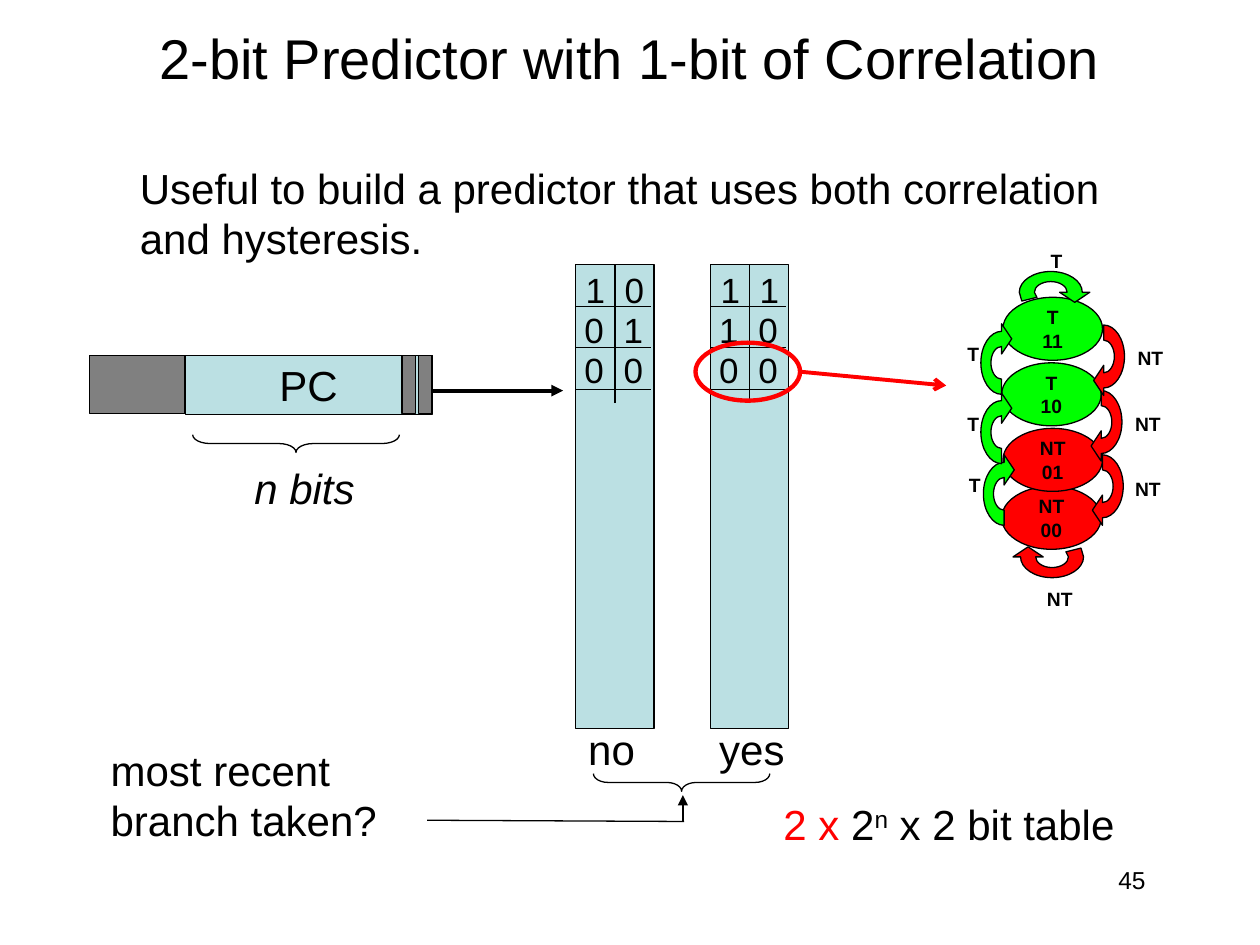
from dataclasses import dataclass
from math import cos, radians, sin

from lxml.etree import SubElement
from pptx import Presentation
from pptx.dml.color import RGBColor as Rgb
from pptx.enum.shapes import MSO_CONNECTOR as Link, MSO_SHAPE as Kind
from pptx.enum.text import MSO_ANCHOR as Anchor, PP_ALIGN as Align
from pptx.oxml.ns import qn
from pptx.util import Pt

SCALE = 9144


@dataclass(frozen=True)
class Theme:
    font: str = "Arial"
    black: str = "000000"
    red: str = "FF0000"
    green: str = "00FF00"
    blue: str = "BBE0E3"
    gray: str = "808080"
    title: int = 32
    body: int = 24
    bit: int = 20
    page: int = 14
    state: int = 11
    thin: float = 0.75
    thick: float = 2.25
    ring: float = 2.5


LOOK = Theme()


def px(*nums):
    return [round(num * SCALE) for num in nums]


def add(para, text, size=LOOK.body, color=LOOK.black, bold=False, italic=False, base=None):
    run = para.add_run()
    run.text = text
    font = run.font
    font.name, font.size = LOOK.font, Pt(size)
    font.bold, font.italic = bold, italic
    font.color.rgb = Rgb.from_string(color)
    if base:
        run._r.get_or_add_rPr().set("baseline", str(base))


def write(shape, text, align=Align.LEFT, anchor=Anchor.TOP, wrap=False, inset=10, tab=None, **look):
    frame = shape.text_frame
    frame.word_wrap, frame.vertical_anchor = wrap, anchor
    frame.margin_left = px(inset)[0]
    for i, line in enumerate(text.split("\n")):
        para = frame.add_paragraph() if i else frame.paragraphs[0]
        para.alignment = align
        if tab:
            tabs = SubElement(para._p.get_or_add_pPr(), qn("a:tabLst"))
            SubElement(tabs, qn("a:tab"), pos=str(px(tab)[0]), algn="l")
        add(para, line, **look)


def label(slide, box, text, **form):
    shape = slide.shapes.add_textbox(*px(*box))
    write(shape, text, **form)
    return shape


def paint(shape, fill, color=LOOK.black, width=LOOK.thin):
    shape.shadow.inherit = False
    if fill:
        shape.fill.solid()
        shape.fill.fore_color.rgb = Rgb.from_string(fill)
    else:
        shape.fill.background()
    shape.line.color.rgb = Rgb.from_string(color)
    shape.line.width = Pt(width)


def block(slide, kind, box, fill=None, **line):
    shape = slide.shapes.add_shape(kind, *px(*box))
    paint(shape, fill, **line)
    return shape


def rule(slide, start, end, color=LOOK.black, width=LOOK.thin, head=None):
    line = slide.shapes.add_connector(Link.STRAIGHT, *px(*start, *end))
    line.line.color.rgb = Rgb.from_string(color)
    line.line.width = Pt(width)
    if head:
        SubElement(line.line._get_or_add_ln(), qn("a:tailEnd"), type=head)
    SubElement(line._element.spPr, qn("a:effectLst"))


def brace(slide, box, curve):
    shape = block(slide, Kind.LEFT_BRACE, box)
    shape.rotation = 270
    shape.adjustments[0] = curve


def bend(shape, starts):
    steps = list(shape._element.iter(qn("a:lnTo")))
    for i in starts:
        curve = steps[i].makeelement(qn("a:cubicBezTo"), {})
        steps[i].addprevious(curve)
        for step in steps[i:i + 3]:
            curve.append(step[0])
            step.getparent().remove(step)


def swirl(slide, mid, turn, fill, loop=False):
    half = [(0, 1), (0.55, 1), (1, 0.55), (1, 0), (1, -0.55), (0.55, -1), (0, -1)]
    inner = [(8.5 * x, 13 * y) for x, y in half]
    outer = [(16.5 * x, 25 * y) for x, y in reversed(half)]
    tail = [(-4, -11), (-7, -23)] if loop else []
    tip = [(0, 31), (-8, 19), (0, 7)]
    c, s = cos(radians(turn)), sin(radians(turn))
    dots = [px(mid[0] + x * c - y * s, mid[1] + x * s + y * c)
            for x, y in inner + tail + outer + tip]
    form = slide.shapes.build_freeform(*dots[0], scale=1.0)
    form.add_line_segments(dots[1:], close=True)
    shape = form.convert_to_shape()
    back = len(inner + tail)
    bend(shape, (0, 3, back, back + 3))
    paint(shape, fill)


def counter(slide, left, rows):
    block(slide, Kind.RECTANGLE, (left, 210, 62, 368), LOOK.blue)
    for i, bits in enumerate(rows):
        y = 243 + 33 * i
        rule(slide, (left, y), (left + 60, y))
        label(slide, (left - 2 - (i > 0), 208 + 32 * i, 72, 44), "\t".join(bits),
              wrap=True, tab=31, size=LOOK.bit)
    rule(slide, (left + 31, 320), (left + 31, 210))


def address(slide):
    pc = block(slide, Kind.RECTANGLE, (147, 282, 196, 47), LOOK.blue)
    write(pc, "PC", align=Align.CENTER, anchor=Anchor.MIDDLE)
    for left, width in ((71, 76), (332, 11), (319, 11)):
        block(slide, Kind.RECTANGLE, (left, 282, width, 46), LOOK.gray)
    rule(slide, (344, 310), (447, 310), width=LOOK.thick, head="triangle")
    brace(slide, (228, 270, 14, 164), 0.98)
    label(slide, (192, 362, 100, 51), "n bits", italic=True)


def history(slide):
    label(slide, (78, 586, 233, 91), "most recent\nbranch taken?")
    rule(slide, (339, 651), (543, 652))
    rule(slide, (542, 652), (542, 631), head="triangle")
    brace(slide, (534, 551, 14, 140), 0.84)
    label(slide, (457, 569, 57, 51), "no")
    label(slide, (561, 569, 72, 51), "yes")


def states(slide):
    for left, top, text, fill in (
        (795, 288, "T\n10", LOOK.green),
        (795, 386, "NT\n00", LOOK.red),
        (796, 340, "NT\n01", LOOK.red),
        (796, 236, "T\n11", LOOK.green),
    ):
        oval = block(slide, Kind.OVAL, (left, top, 79, 50), fill)
        write(oval, text, align=Align.CENTER, anchor=Anchor.MIDDLE, size=LOOK.state, bold=True)
    for mid, turn in (
        ((797, 392), 180), ((795, 343), 180), ((795, 288), 180),
        ((875, 386), 0), ((874, 335), 0), ((876, 283), 0),
        ((835, 442), 90), ((834, 232), 270),
    ):
        swirl(slide, mid, turn, LOOK.green if turn >= 180 else LOOK.red, turn % 180 == 90)
    for text, width, spots in (
        ("T", 29, ((824, 193), (758, 267), (758, 322), (759, 371))),
        ("NT", 41, ((893, 270), (891, 322), (891, 374), (821, 461))),
    ):
        for spot in spots:
            label(slide, (*spot, width, 29), text, size=LOOK.state, bold=True)


def main():
    deck = Presentation()
    deck.slide_width, deck.slide_height = px(1000, 750)
    slide = deck.slides.add_slide(deck.slide_layouts[6])
    label(slide, (75, 0, 850, 91), "2-bit Predictor with 1-bit of Correlation",
          align=Align.CENTER, anchor=Anchor.MIDDLE, wrap=True, size=LOOK.title)
    label(slide, (64, 124, 850, 517),
          "Useful to build a predictor that uses both correlation and hysteresis.",
          wrap=True, inset=47)
    address(slide)
    history(slide)
    counter(slide, 457, ("10", "01", "00"))
    counter(slide, 564, ("11", "10", "00"))
    size = label(slide, (612, 629, 357, 51), "2 x", wrap=True, color=LOOK.red)
    para = size.text_frame.paragraphs[0]
    add(para, " 2")
    add(para, "n", base=30000)
    add(para, " x 2 bit table")
    label(slide, (717, 682, 202, 50), "45", align=Align.RIGHT, wrap=True, size=LOOK.page)
    states(slide)
    block(slide, Kind.OVAL, (552, 272, 83, 46), color=LOOK.red, width=LOOK.ring)
    rule(slide, (635, 295), (751, 306), color=LOOK.red, width=LOOK.thick, head="arrow")
    deck.save("out.pptx")


if __name__ == "__main__":
    main()
